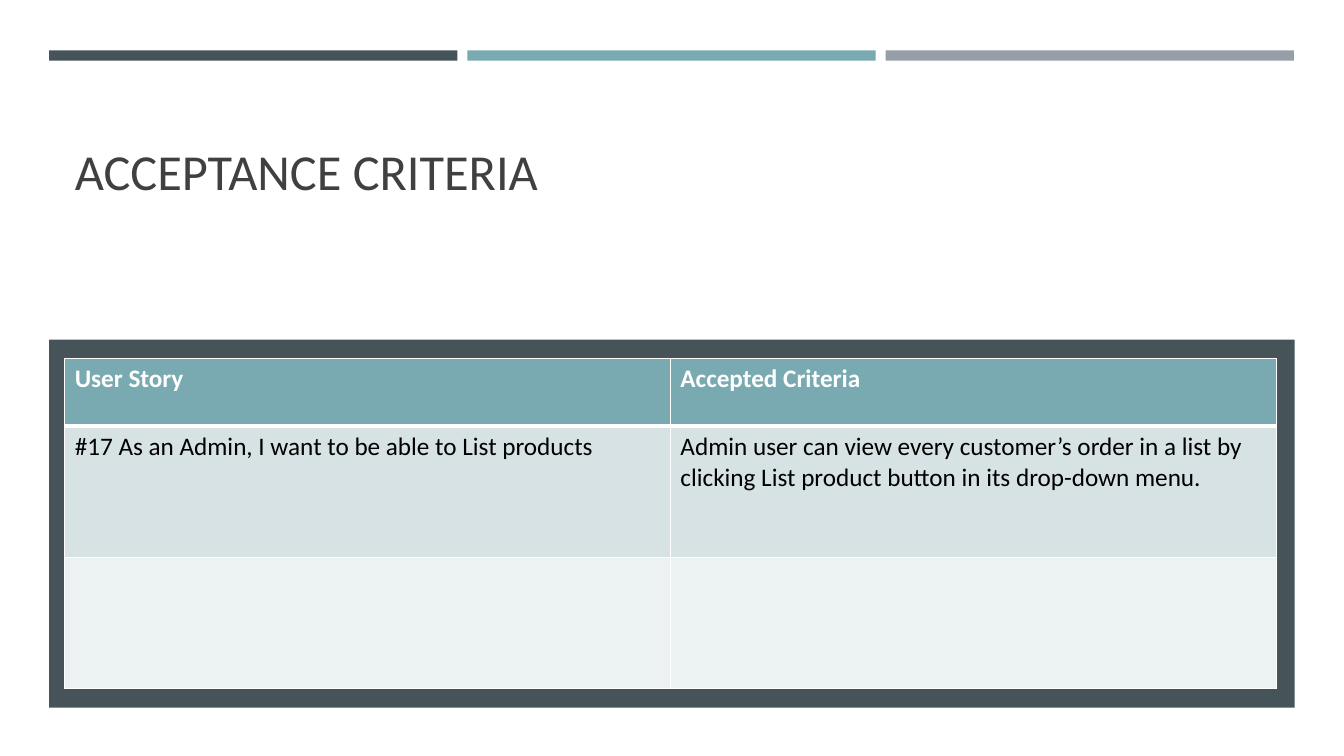
import pptx
import pptx.dml.color
import pptx.enum.shapes
import pptx.enum.text
import pptx.oxml
import pptx.oxml.ns
import pptx.util

Cm = pptx.util.Cm
Pt = pptx.util.Pt
RGBColor = pptx.dml.color.RGBColor

SLATE = RGBColor(0x46, 0x53, 0x59)
TEAL = RGBColor(0x79, 0xAA, 0xB2)
GREY = RGBColor(0x96, 0x9F, 0xA7)
MIST = RGBColor(0xD7, 0xE2, 0xE4)
PALE = RGBColor(0xEC, 0xF1, 0xF2)
INK = RGBColor(0x40, 0x40, 0x40)
BLACK = RGBColor(0, 0, 0)
WHITE = RGBColor(0xFF, 0xFF, 0xFF)
FONT = "Calibri"

EDGE = 1.24
INSET = 1.63
INNER = 30.53

# Each row: height in cm, fill, text colour, bold, cell texts
ROWS = [
    (1.7, TEAL, WHITE, True, ["User Story", "Accepted Criteria"]),
    (3.3, MIST, BLACK, False, [
        "#17 As an Admin, I want to be able to List products",
        "Admin user can view every customer’s order in a list by "
        "clicking List product button in its drop-down menu.",
    ]),
    (3.3, PALE, BLACK, False, ["", ""]),
]


def add_rect(slide, left, top, width, height, color):
    kind = pptx.enum.shapes.MSO_SHAPE.RECTANGLE
    rect = slide.shapes.add_shape(kind, Cm(left), Cm(top), Cm(width), Cm(height))
    rect.shadow.inherit = False
    rect.fill.solid()
    rect.fill.fore_color.rgb = color
    rect.line.fill.background()


def add_run(para, text, size, color, bold=False):
    run = para.add_run()
    run.text = text
    run.font.name = FONT
    run.font.size = Pt(size)
    run.font.bold = bold
    run.font.color.rgb = color


def set_title(slide, text):
    title = slide.shapes.title
    title.left, title.top = Cm(INSET), Cm(2.84)
    title.width, title.height = Cm(INNER), Cm(2.34)
    frame = title.text_frame
    frame.word_wrap = True
    frame.auto_size = pptx.enum.text.MSO_AUTO_SIZE.NONE
    frame.vertical_anchor = pptx.enum.text.MSO_ANCHOR.BOTTOM
    para = frame.paragraphs[0]
    para.alignment = pptx.enum.text.PP_ALIGN.LEFT
    add_run(para, text, 36, INK)


def set_border(cell, widths):
    """Draw white borders; widths are points for left, right, top, bottom."""
    props = cell._tc.get_or_add_tcPr()
    for side, width in zip("LRTB", widths):
        props.append(pptx.oxml.parse_xml(
            f'<a:ln{side} {pptx.oxml.ns.nsdecls("a")} w="{Pt(width)}">'
            f'<a:solidFill><a:srgbClr val="{WHITE}"/></a:solidFill></a:ln{side}>'))


def add_grid(slide):
    count = len(ROWS[0][-1])
    total = sum(row[0] for row in ROWS)
    frame = slide.shapes.add_table(
        len(ROWS), count, Cm(INSET), Cm(9.04), Cm(INNER), Cm(total))
    table = frame.table
    for r, (height, fill, color, bold, texts) in enumerate(ROWS):
        table.rows[r].height = Cm(height)
        top = 3 if r == 1 else 1
        bottom = 3 if r == 0 else 1
        for c, text in enumerate(texts):
            cell = table.cell(r, c)
            set_border(cell, (1, 1, top, bottom))
            cell.fill.solid()
            cell.fill.fore_color.rgb = fill
            if text:
                add_run(cell.text_frame.paragraphs[0], text, 18, color, bold)


def main():
    deck = pptx.Presentation()
    deck.slide_width, deck.slide_height = Cm(33.87), Cm(19.05)
    slide = deck.slides.add_slide(deck.slide_layouts[5])
    for i, color in enumerate([SLATE, TEAL, GREY]):
        add_rect(slide, EDGE + i * 10.54, 1.27, 10.29, 0.26, color)
    add_rect(slide, EDGE, 8.56, 31.39, 9.27, SLATE)
    set_title(slide, "ACCEPTANCE CRITERIA")
    add_grid(slide)
    deck.save("out.pptx")


if __name__ == "__main__":
    main()
